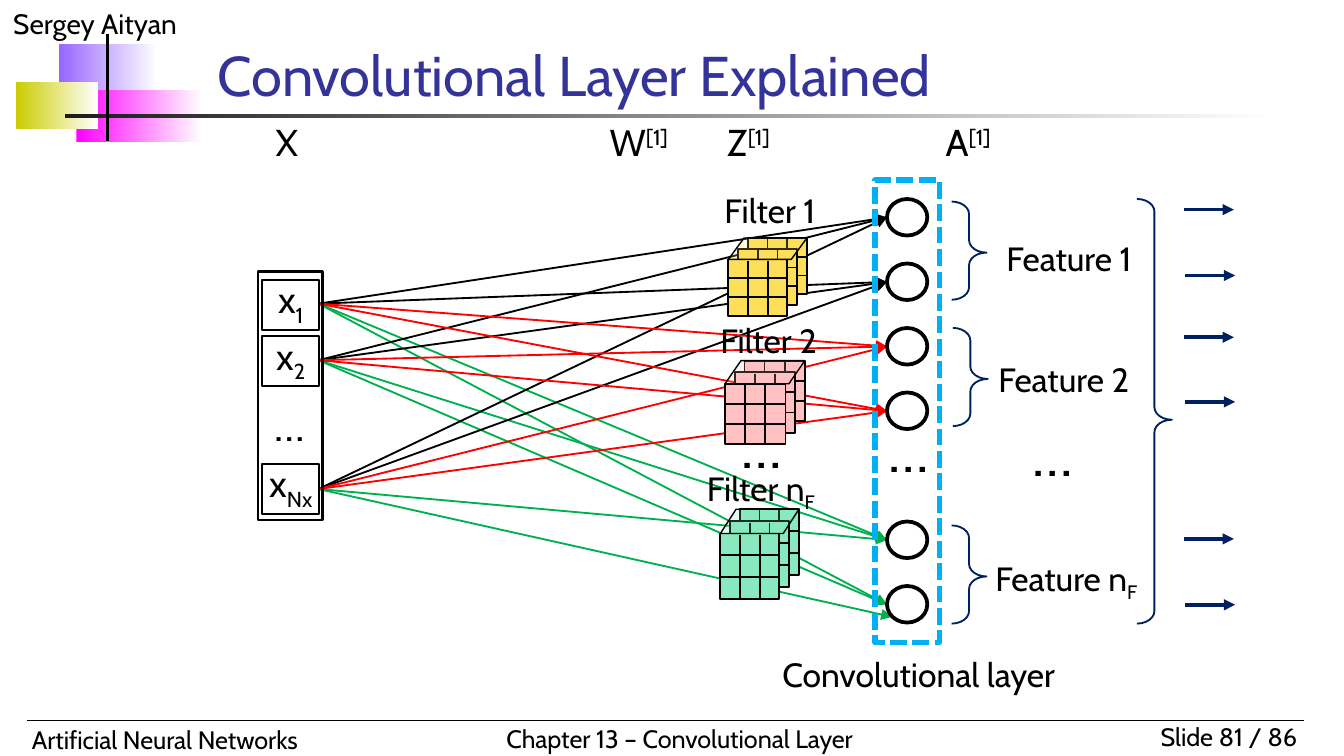
import pptx
import pptx.util
import pptx.dml.color
import pptx.enum.dml
import pptx.enum.shapes
import pptx.enum.text
import pptx.oxml.ns
from lxml import etree

Pt = pptx.util.Pt
qn = pptx.oxml.ns.qn
KIND = pptx.enum.shapes.MSO_SHAPE
ALIGN = pptx.enum.text.PP_ALIGN
ANCHOR = pptx.enum.text.MSO_ANCHOR
BLACK, NAVY = "000000", "002060"


def rgb(code):
    return pptx.dml.color.RGBColor.from_string(code)


class Board:
    """Holds the font and the slide, and draws each kind of element."""
    font = "Cabin"

    def __init__(self, slide):
        self.slide = slide

    def fill_in(self, para, runs, size, color=BLACK):
        """Add (text, baseline percent) runs to a paragraph."""
        for words, base in runs:
            run = para.add_run()
            run.text = words
            run.font.name, run.font.size = self.font, Pt(size)
            run.font.color.rgb = rgb(color)
            if base:
                run._r.get_or_add_rPr().set("baseline", str(base * 1000))

    def frame(self, shape, inset, anchor):
        frame = shape.text_frame
        frame.word_wrap = True
        frame.vertical_anchor = anchor
        (frame.margin_left, frame.margin_top,
         frame.margin_right, frame.margin_bottom) = map(Pt, inset)
        return frame.paragraphs[0]

    def title(self, words, x, y, w, h, size, color):
        shape = self.slide.shapes.title
        shape.left, shape.top, shape.width, shape.height = map(Pt, (x, y, w, h))
        para = self.frame(shape, (7.2, 3.6, 7.2, 3.6), ANCHOR.BOTTOM)
        para.alignment = ALIGN.LEFT
        self.fill_in(para, [(words, 0)], size, color)

    def text(self, runs, x, y, w, h, size, align=ALIGN.LEFT,
             inset=(0, 0, 0, 0), tabs=()):
        box = self.slide.shapes.add_textbox(Pt(x), Pt(y), Pt(w), Pt(h))
        para = self.frame(box, inset, ANCHOR.TOP)
        para.alignment = align
        if tabs:
            stops = etree.SubElement(para._p.get_or_add_pPr(), qn("a:tabLst"))
            for stop in tabs:
                etree.SubElement(stops, qn("a:tab"), pos=str(Pt(stop)), algn="l")
        self.fill_in(para, runs, size)

    def shape(self, kind, x, y, w, h, fill=None, line=None, width=1):
        item = self.slide.shapes.add_shape(kind, Pt(x), Pt(y), Pt(w), Pt(h))
        item.shadow.inherit = False
        if fill:
            item.fill.solid()
            item.fill.fore_color.rgb = rgb(fill)
        else:
            item.fill.background()
        if line:
            item.line.color.rgb = rgb(line)
            item.line.width = Pt(width)
        else:
            item.line.fill.background()
        return item

    def fade(self, color, x, y, w, h):
        item = self.shape(KIND.RECTANGLE, x, y, w, h)
        item.fill.gradient()
        item.fill.gradient_angle = 0
        for stop, tone, place in zip(item.fill.gradient_stops,
                                     (color, "FFFFFF"), (0, 1)):
            stop.color.rgb = rgb(tone)
            stop.position = place

    def line(self, x1, y1, x2, y2, color=BLACK, width=1, head=False):
        link = self.slide.shapes.add_connector(
            pptx.enum.shapes.MSO_CONNECTOR.STRAIGHT, Pt(x1), Pt(y1), Pt(x2), Pt(y2))
        link.line.color.rgb = rgb(color)
        link.line.width = Pt(width)
        if head:
            etree.SubElement(link.line._get_or_add_ln(), qn("a:tailEnd"),
                             type="triangle")
        etree.SubElement(link._element.spPr, qn("a:effectLst"))

    def brace(self, x, y, h):
        item = self.shape(KIND.RIGHT_BRACE, x, y, 18.7, h, line=NAVY)
        item.adjustments[0], item.adjustments[1] = 0.36, 0.52

    def cube(self, color, x, y, w, h, depth):
        """Three stacked 3 x 3 grids under a see-through lid; x, y is the front."""
        for step in (1, 0.5, 0):
            left, top = x + 10.4 * step, y - depth * step
            self.shape(KIND.RECTANGLE, left, top, w, h, color, BLACK)
            for k in (1, 2):
                row, col = top + h * k / 3, left + w * k / 3
                self.line(left, row, left + w, row)
                self.line(col, top + 0.7, col, top + h - 0.7)
        lid = self.shape(KIND.FLOWCHART_DATA, x, y - depth, w + 10.4, depth,
                         color, BLACK, 0.75)
        tone = lid._element.spPr.find(qn("a:solidFill"))[0]
        etree.SubElement(tone, qn("a:alpha"), val="20000")


def main():
    deck = pptx.Presentation()
    deck.slide_width, deck.slide_height = Pt(720), Pt(405)
    board = Board(deck.slides.add_slide(deck.slide_layouts[5]))

    # Page frame
    for fade in (("9966FF", 31.7, 23.8, 52.6, 28), ("FF00FF", 41, 48.2, 67, 28),
                 ("CCCC00", 8.6, 43.9, 43.9, 25.2), ("1C1C1C", 34.6, 61.2, 648, 2)):
        board.fade(*fade)
    pad = (7.2, 3.6, 7.2, 3.6)
    board.text([("Sergey Aityan", 0)], 0, 0, 180, 25, 15, inset=pad)
    board.text([("Slide 81 / 86", 0)], 594, 383, 108, 24, 13.5, ALIGN.RIGHT, pad)
    board.text([("Artificial Neural Networks", 0)], 10, 384.5, 266, 24, 13.5, inset=pad)
    board.text([("Chapter 13 – Convolutional Layer", 0)], 264.2, 383.8, 215, 24, 13.5,
               inset=pad)
    board.line(14.4, 386, 698.4, 386, width=0.75)
    board.line(57.6, 18, 57.6, 75.6, width=2)
    board.title("Convolutional Layer Explained", 109.4, 22.3, 529, 39, 30, "333399")

    # Column heads
    board.text([("X\tW", 0), ("[1]", 30), ("\tZ", 0), ("[1]", 30), ("\tA", 0), ("[1]", 30)],
               147.6, 64.1, 522, 24.5, 20, tabs=(179, 242, 359))

    # Output arrows
    for k, y in enumerate((112.3, 147.6, 180.7, 215.3, 288.7, 324)):
        x = 634.3 + 0.7 * (k % 2)
        board.line(x, y, x + 26.7, y, NAVY, 2, True)

    # Links from inputs to the nodes of each filter
    inputs = (162.7, 193, 262)
    slots = (0, 1, 2, 3, 5, 6)
    nodes = [116.5 + 34.56 * slot for slot in slots]
    for color, pair in (("00B050", nodes[4:]), (BLACK, nodes[:2]), ("FF0000", nodes[2:4])):
        for start in inputs:
            for end in pair:
                low = start == inputs[-1] and end == nodes[-1]
                tip = (478, 330.5) if low else (475.2, end)
                board.line(170.6, start, *tip, color, 1, True)

    # Input vector
    for sub, y in (("1", 149.8), ("2", 180), ("Nx", 248.4)):
        cell = board.shape(KIND.RECTANGLE, 140.4, y, 30.7, 26.8, line=BLACK)
        para = board.frame(cell, (0, 0, 0, 2.9), ANCHOR.MIDDLE)
        para.alignment = ALIGN.CENTER
        board.fill_in(para, [("x", 0), (sub, -25)], 20)
    board.text([("…", 0)], 143.3, 212.4, 23.8, 28.8, 24, ALIGN.CENTER)
    board.shape(KIND.RECTANGLE, 138.2, 145.4, 34.6, 133.2, line=BLACK, width=1.25)

    # Convolutional layer
    layer = board.shape(KIND.RECTANGLE, 468.7, 96.5, 34.6, 247.7, line="00B0F0", width=3)
    layer.line.dash_style = pptx.enum.dml.MSO_LINE.SQUARE_DOT
    for y in nodes:
        board.shape(KIND.OVAL, 475.2, y - 9.9, 21.6, 19.6, line=BLACK, width=2)
    board.text([("Convolutional layer", 0)], 402.5, 350.6, 179.3, 21.6, 18, ALIGN.CENTER)

    # Filters
    last = ("F", -25)
    for cube, runs, x, y in (
            (("FFC1C1", 388.4, 205.6, 32.4, 32.4, 12.4), [("Filter 2", 0)], 385.9, 171.4),
            (("FEDF59", 390.2, 139, 31.7, 30.2, 11.5), [("Filter 1", 0)], 388.1, 101.5),
            (("88E9BE", 385.9, 285.8, 31.7, 35.3, 13), [("Filter n", 0), last], 378.7, 250.6)):
        board.cube(*cube)
        board.text(runs, x, y, 90, 24, 18)

    # Features
    for x, y in ((509.8, 108), (510.5, 175.7), (509.8, 281.5)):
        board.brace(x, y, 52.6)
    board.brace(609.1, 106.6, 227.5)
    for runs, x, y in (([("Feature 1", 0)], 527, 127.4), ([("Feature 2", 0)], 524.2, 192.2),
                       ([("Feature n", 0), last], 525.6, 298.8)):
        board.text(runs, x, y, 91.4, 21.6, 18, ALIGN.CENTER)

    # Gaps in the filters, nodes and features
    for x, y in ((389.5, 218.9), (468, 221), (545, 223.2)):
        board.text([("…", 0)], x, y, 37.4, 38.9, 32, ALIGN.CENTER)

    deck.save("out.pptx")


if __name__ == "__main__":
    main()
